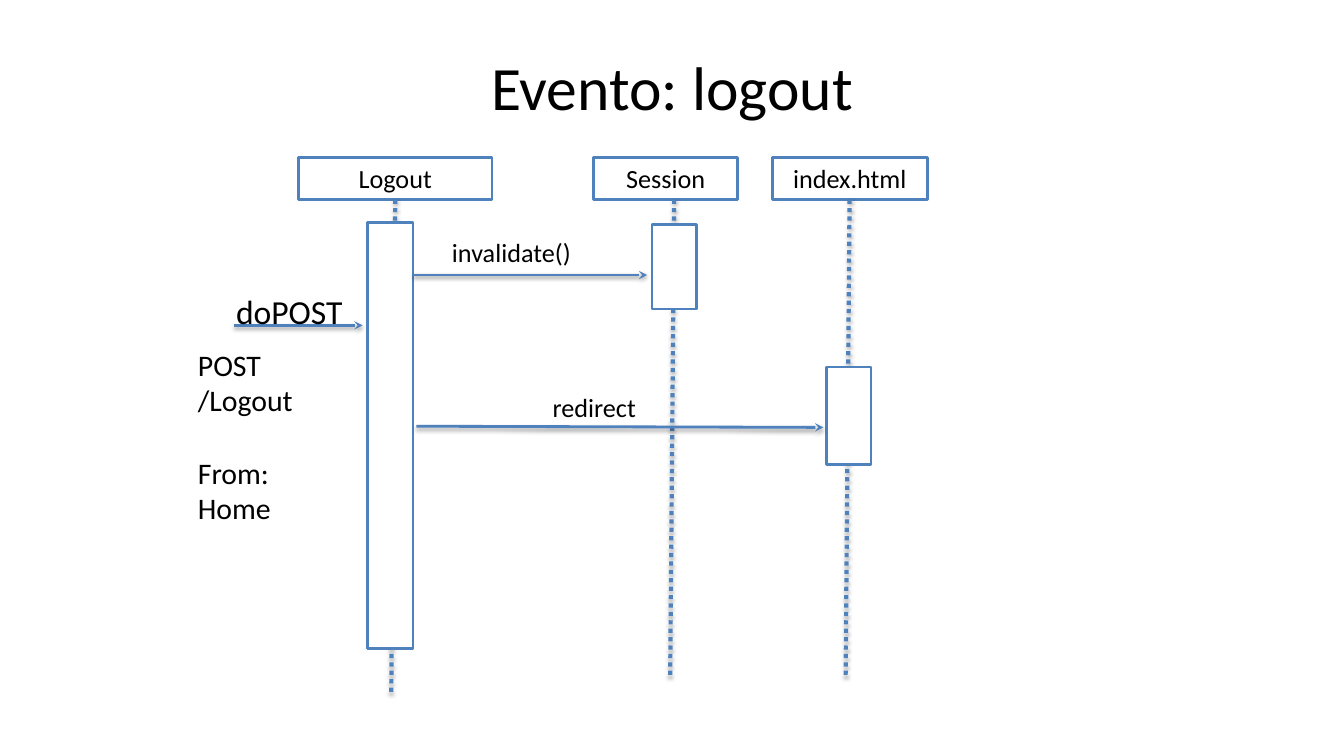
from lxml import etree
from pptx import Presentation
from pptx import util as u
from pptx.dml.color import RGBColor
from pptx.enum import dml, shapes, text
from pptx.oxml import parse_xml
from pptx.oxml.ns import nsdecls, qn


def tint(code):
    return RGBColor.from_string(code)


class Board:
    font = "Calibri"
    ink = "000000"
    blue = "4F81BD"
    white = "FFFFFF"

    def __init__(self, deck):
        self.slide = deck.slides.add_slide(deck.slide_layouts[6])

    def words(self, shape, lines, size, align, anchor):
        frame = shape.text_frame
        frame.word_wrap = True
        frame.vertical_anchor = anchor
        frame.margin_left = frame.margin_right = u.Cm(0.34)
        frame.margin_top = frame.margin_bottom = u.Cm(0.17)
        frame.text = lines
        for para in frame.paragraphs:
            para.alignment = align
            for run in para.runs:
                run.font.name = self.font
                run.font.size = u.Pt(size)
                run.font.color.rgb = tint(self.ink)
        return frame

    def label(self, lines, place, size, align=text.PP_ALIGN.LEFT,
              anchor=text.MSO_ANCHOR.TOP):
        box = self.slide.shapes.add_textbox(*map(u.Cm, place))
        return self.words(box, lines, size, align, anchor)

    def box(self, place, name=""):
        rect = self.slide.shapes.add_shape(
            shapes.MSO_SHAPE.RECTANGLE, *map(u.Cm, place))
        rect.shadow.inherit = False
        rect.fill.solid()
        rect.fill.fore_color.rgb = tint(self.white)
        rect.line.color.rgb = tint(self.blue)
        rect.line.width = u.Pt(2)
        if name:
            self.words(rect, name, 18.7, text.PP_ALIGN.CENTER,
                       text.MSO_ANCHOR.MIDDLE)

    def line(self, ends, width, alpha, dist):
        link = self.slide.shapes.add_connector(
            shapes.MSO_CONNECTOR.STRAIGHT, *map(u.Cm, ends))
        link.line.color.rgb = tint(self.blue)
        link.line.width = u.Pt(width)
        link._element.spPr.append(parse_xml(
            f'<a:effectLst {nsdecls("a")}>'
            f'<a:outerShdw blurRad="{u.Pt(3.1)}" dist="{u.Pt(dist)}" '
            f'dir="5400000" rotWithShape="0"><a:srgbClr val="{self.ink}">'
            f'<a:alpha val="{alpha * 1000}"/></a:srgbClr>'
            '</a:outerShdw></a:effectLst>'))
        return link

    def life(self, left, end):
        link = self.line((left, 5.03, left - 0.1, end), 3, 35, 1.8)
        link.line.dash_style = dml.MSO_LINE.ROUND_DOT

    def arrow(self, ends):
        link = self.line(ends, 2, 38, 1.6)
        edge = link._element.spPr.find(qn("a:ln"))
        etree.SubElement(edge, qn("a:tailEnd"), type="stealth")


deck = Presentation()
deck.slide_width = u.Cm(33.87)
deck.slide_height = u.Cm(19.05)
board = Board(deck)
mid = text.PP_ALIGN.CENTER

board.label("Evento: logout", (1.7, 0.76, 30.48, 2.79), 44, mid,
            text.MSO_ANCHOR.MIDDLE)

actors = [
    ("Logout", 7.52, 4.88, 9.96, 17.5, (9.27, 5.61, 1.14, 10.74)),
    ("Session", 14.96, 3.63, 16.99, 17.09, (16.43, 5.66, 1.12, 2.13)),
    ("index.html", 19.46, 3.91, 21.41, 17.09, (20.83, 9.25, 1.12, 2.46)),
]
for name, left, width, axis, end, bar in actors:
    board.box((left, 3.96, width, 1.07), name)
    board.life(axis, end)
    board.box(bar)

for ends in [(5.89, 8.2, 9.14, 8.2), (10.41, 6.93, 16.31, 6.93),
             (10.49, 10.74, 20.75, 10.77)]:
    board.arrow(ends)

board.label("doPOST", (5.61, 7.16, 3.5, 1.02), 24)
board.label("redirect", (11.05, 9.68, 7.85, 0.94), 18.7, mid)
board.label("invalidate()", (11.05, 5.79, 5.94, 0.86), 18.7)
call = board.label("POST\n/Logout\nFrom: Home", (4.65, 8.56, 4.4, 7.8), 21.3)
call.paragraphs[2].space_before = u.Pt(26)

deck.save("out.pptx")
